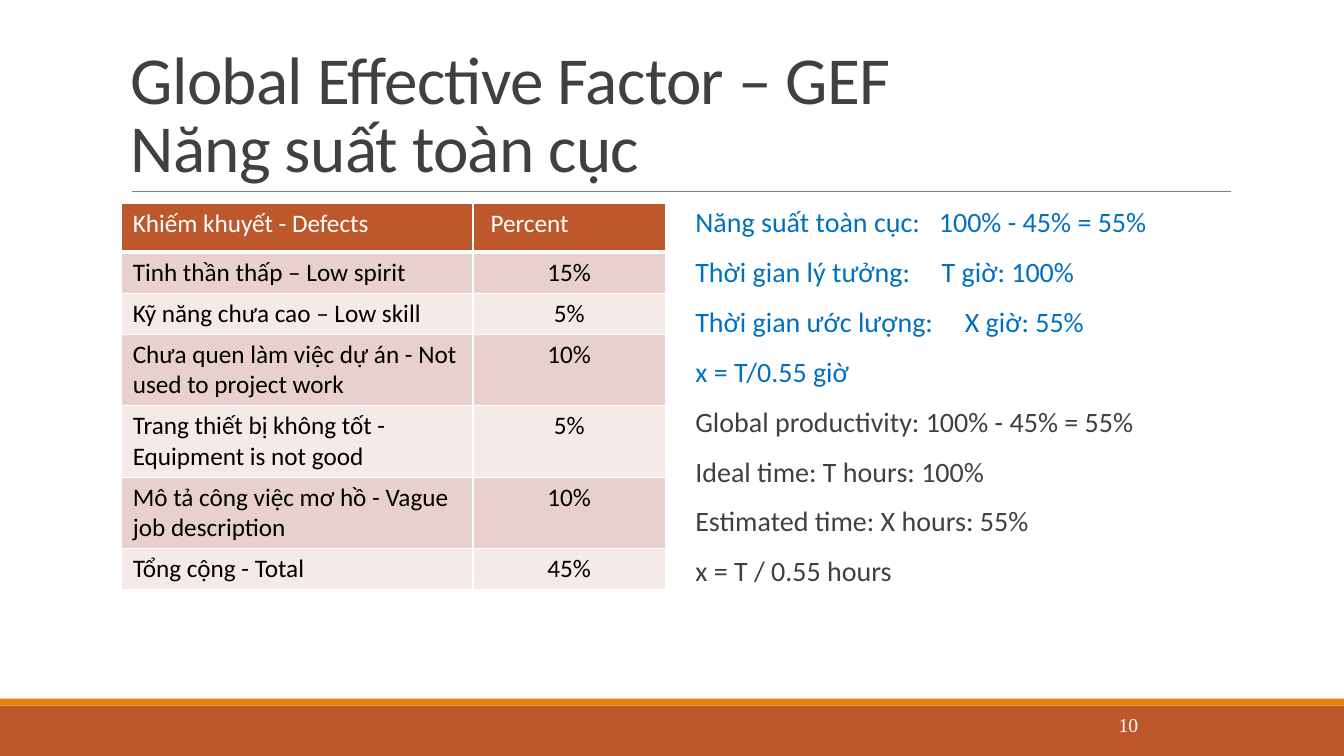
from dataclasses import dataclass

from lxml import etree
from pptx import Presentation
from pptx.dml.color import RGBColor
from pptx.enum.shapes import MSO_CONNECTOR, MSO_SHAPE
from pptx.enum.text import MSO_ANCHOR, PP_ALIGN
from pptx.oxml.ns import qn
from pptx.util import Pt

RECT = MSO_SHAPE.RECTANGLE
STRAIGHT = MSO_CONNECTOR.STRAIGHT
TOP, MIDDLE, BOTTOM = MSO_ANCHOR.TOP, MSO_ANCHOR.MIDDLE, MSO_ANCHOR.BOTTOM
LEFT, CENTER, RIGHT = PP_ALIGN.LEFT, PP_ALIGN.CENTER, PP_ALIGN.RIGHT


@dataclass(frozen=True)
class Theme:
    """Colours, fonts and type sizes of the slide."""
    rust: str = "BD582C"
    amber: str = "E48312"
    rule: str = "808080"
    ink: str = "404040"
    blue: str = "0070C0"
    black: str = "000000"
    white: str = "FFFFFF"
    bands: tuple = ("E8D1CD", "F4EAE8")
    sans: str = "Calibri"
    serif: str = "Times New Roman"
    title: int = 48
    body: int = 20
    cell: int = 18
    page: int = 14


THEME = Theme()

TITLE = "Global Effective Factor – GEF\vNăng suất toàn cục"
HEADER = ("Khiếm khuyết - Defects", "Percent")
# Defect, share, number of text lines
DEFECTS = [
    ("Tinh thần thấp – Low spirit", "15%", 1),
    ("Kỹ năng chưa cao – Low skill", "5%", 1),
    ("Chưa quen làm việc dự án - Not used to project work", "10%", 2),
    ("Trang thiết bị không tốt - Equipment is not good", "5%", 2),
    ("Mô tả công việc mơ hồ - Vague job description", "10%", 2),
    ("Tổng cộng - Total", "45%", 1),
]
# Text, colour, tab stop in points
NOTES = [
    ("Năng suất toàn cục:\t100% - 45% = 55%", THEME.blue, 174),
    ("Thời gian lý tưởng:\tT giờ: 100%", THEME.blue, 176),
    ("Thời gian ước lượng:\tX giờ: 55%", THEME.blue, 192.5),
    ("x = T/0.55 giờ", THEME.blue, None),
    ("Global productivity: 100% - 45% = 55%", THEME.ink, None),
    ("Ideal time: T hours: 100%", THEME.ink, None),
    ("Estimated time: X hours: 55%", THEME.ink, None),
    ("x = T / 0.55 hours", THEME.ink, None),
]


def style(para, size, color, font=THEME.sans, align=LEFT):
    """Set the font and alignment of a paragraph."""
    para.alignment = align
    para.font.name = font
    para.font.size = Pt(size)
    para.font.color.rgb = RGBColor.from_string(color)


def add_bar(slide, top, height, color):
    """Add a band across the full slide width."""
    bar = slide.shapes.add_shape(RECT, 0, Pt(top), Pt(960), Pt(height))
    bar.shadow.inherit = False
    bar.fill.solid()
    bar.fill.fore_color.rgb = RGBColor.from_string(color)
    bar.line.fill.background()


def add_rule(slide, left, right, y):
    """Add the thin line below the title."""
    rule = slide.shapes.add_connector(STRAIGHT, Pt(left), Pt(y), Pt(right), Pt(y))
    rule.line.color.rgb = RGBColor.from_string(THEME.rule)
    rule.line.width = Pt(0.5)
    etree.SubElement(rule._element.spPr, qn("a:effectLst"))


def add_box(slide, left, top, width, height, anchor):
    """Add a wrapping text box and return its text frame."""
    box = slide.shapes.add_textbox(Pt(left), Pt(top), Pt(width), Pt(height))
    frame = box.text_frame
    frame.word_wrap = True
    frame.vertical_anchor = anchor
    return frame


def add_title(slide):
    """Add the two-line title."""
    para = add_box(slide, 86.4, 22.3, 792, 114.5, BOTTOM).paragraphs[0]
    para.text = TITLE
    para.line_spacing = 0.85
    style(para, THEME.title, THEME.ink)
    for run in para.runs:
        run.font._element.set("spc", "-50")


def set_tab(para, stop):
    """Give a paragraph one left tab stop."""
    tabs = etree.SubElement(para._p.get_or_add_pPr(), qn("a:tabLst"))
    etree.SubElement(tabs, qn("a:tab"), pos=str(int(Pt(stop))), algn="l")
    # The default font must follow the tab list
    props = para._p.pPr
    fonts = props.find(qn("a:defRPr"))
    if fonts is not None:
        props.append(fonts)


def add_notes(slide):
    """Add the list of time estimates."""
    frame = add_box(slide, 489.6, 145.5, 388.8, 316.8, TOP)
    for i, (text, color, stop) in enumerate(NOTES):
        para = frame.add_paragraph() if i else frame.paragraphs[0]
        para.text = text
        para.line_spacing = 0.9
        para.space_before, para.space_after = Pt(12), Pt(2)
        style(para, THEME.body, color)
        if stop:
            set_tab(para, stop)


def set_edge(cell, side, width):
    """Draw one white cell border."""
    line = etree.Element(qn("a:ln" + side), w=str(int(Pt(width))))
    fill = etree.SubElement(line, qn("a:solidFill"))
    etree.SubElement(fill, qn("a:srgbClr"), val=THEME.white)
    return line


def fill_cell(cell, text, fill, color, align=LEFT, inset=8.5, top=1, bottom=1):
    """Write and colour one table cell, with its borders."""
    cell.fill.solid()
    cell.fill.fore_color.rgb = RGBColor.from_string(fill)
    cell.margin_left, cell.margin_right = Pt(inset), Pt(8.5)
    cell.margin_top = cell.margin_bottom = Pt(3.6)
    cell.vertical_anchor = TOP
    para = cell.text_frame.paragraphs[0]
    para.text = text
    style(para, THEME.cell, color, align=align)
    props = cell._tc.get_or_add_tcPr()
    edges = (("L", 1), ("R", 1), ("T", top), ("B", bottom))
    for i, (side, width) in enumerate(edges):
        props.insert(i, set_edge(cell, side, width))


def add_defects(slide):
    """Add the table of defects and their shares."""
    heights = [34.6] + [29.3 if lines == 1 else 51.1 for *_, lines in DEFECTS]
    frame = slide.shapes.add_table(len(heights), 2, Pt(86.4), Pt(145.5),
                                   Pt(388.8), Pt(sum(heights)))
    table = frame.table
    for column, width in zip(table.columns, (251.5, 137.3)):
        column.width = Pt(width)
    for row, height in zip(table.rows, heights):
        row.height = Pt(height)
    for col, (text, inset) in enumerate(zip(HEADER, (8.5, 12.5))):
        fill_cell(table.cell(0, col), text, THEME.rust, THEME.white,
                  inset=inset, bottom=3)
    for row, (name, share, _) in enumerate(DEFECTS, 1):
        band = THEME.bands[(row - 1) % 2]
        top = 3 if row == 1 else 1
        fill_cell(table.cell(row, 0), name, band, THEME.black, top=top)
        fill_cell(table.cell(row, 1), share, band, THEME.black, CENTER, top=top)


def add_page(slide):
    """Add the page number in the footer."""
    para = add_box(slide, 661.7, 502.6, 158.4, 30.2, MIDDLE).paragraphs[0]
    para.text = "10"
    style(para, THEME.page, THEME.white, THEME.serif, RIGHT)


def main():
    """Build the slide and save it."""
    deck = Presentation()
    deck.slide_width, deck.slide_height = Pt(960), Pt(540)
    slide = deck.slides.add_slide(deck.slide_layouts[6])
    add_bar(slide, 504, 36, THEME.rust)
    add_bar(slide, 499, 5, THEME.amber)
    add_rule(slide, 94.3, 879, 136.8)
    add_title(slide)
    add_defects(slide)
    add_notes(slide)
    add_page(slide)
    deck.save("out.pptx")


main()
